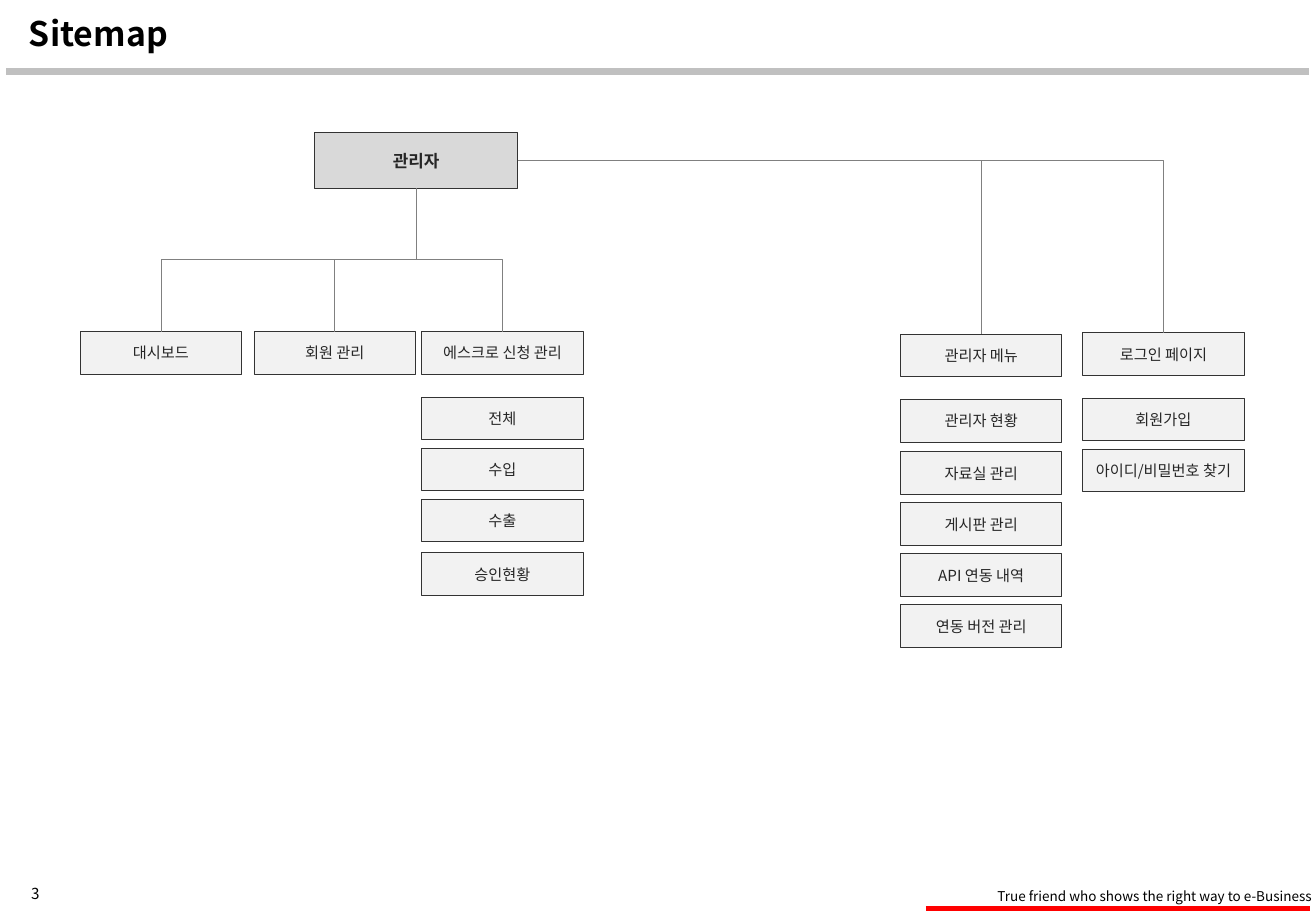
from lxml.etree import SubElement
from pptx import Presentation
from pptx.dml.color import RGBColor
from pptx.enum.shapes import MSO_CONNECTOR, MSO_SHAPE
from pptx.enum.text import MSO_ANCHOR, PP_ALIGN
from pptx.oxml.ns import qn
from pptx.util import Emu, Pt

BOTTOM, RIGHT, TOP = 2, 3, 0


def px(length):
    """Turn px (100 to the inch) into EMU."""
    return Emu(length * 9144)


def color(hex_text):
    return RGBColor.from_string(hex_text)


class SitemapSlide:
    """Holds the style and the current slide; one method per kind of element."""

    font_name = "Noto Sans CJK KR"
    box_width, box_height = 133, 35

    def __init__(self, slide):
        self.slide = slide

    def add_text(self, frame, text, size, ink="000000", bold=False, align=PP_ALIGN.LEFT):
        paragraph = frame.paragraphs[0]
        paragraph.alignment = align
        run = paragraph.add_run()
        run.text = text
        run.font.size = Pt(size)
        run.font.bold = bold
        run.font.color.rgb = color(ink)
        run.font.name = self.font_name
        SubElement(run.font._element, qn("a:ea"), typeface=self.font_name)
        return paragraph

    def label(self, left, top, width, height, text, size,
              wrap=True, anchor=MSO_ANCHOR.MIDDLE, **style):
        frame = self.slide.shapes.add_textbox(
            px(left), px(top), px(width), px(height)).text_frame
        frame.word_wrap = wrap
        frame.vertical_anchor = anchor
        return self.add_text(frame, text, size, **style)

    def box(self, left, top, text, width=box_width, height=box_height,
            fill="F2F2F2", size=9, bold=False):
        shape = self.slide.shapes.add_shape(
            MSO_SHAPE.RECTANGLE, px(left), px(top), px(width), px(height))
        shape.shadow.inherit = False
        shape.fill.solid()
        shape.fill.fore_color.rgb = color(fill)
        shape.line.color.rgb = color("333333")
        shape.line.width = Pt(0.5)
        frame = shape.text_frame
        frame.word_wrap = True
        frame.margin_left = frame.margin_right = 0
        frame.vertical_anchor = MSO_ANCHOR.MIDDLE
        self.add_text(frame, text, size, "262626", bold, PP_ALIGN.CENTER)
        return shape

    def line(self, x1, y1, x2, y2, ink, width, kind=MSO_CONNECTOR.STRAIGHT):
        connector = self.slide.shapes.add_connector(
            kind, px(x1), px(y1), px(x2), px(y2))
        connector.line.color.rgb = color(ink)
        connector.line.width = Pt(width)
        SubElement(connector.element.spPr, qn("a:effectLst"))
        return connector

    def elbow(self, parent, child, side):
        """Join a side of the parent to the top of the child with a bent line."""
        connector = self.line(0, 0, 0, 0, "808080", 0.5, MSO_CONNECTOR.ELBOW)
        connector.begin_connect(parent, side)
        connector.end_connect(child, TOP)
        properties = connector.element.spPr
        if side == RIGHT:
            properties.find(qn("a:prstGeom")).set("prst", "bentConnector2")
            return
        # A line that leaves downwards is a sideways one turned about its centre.
        x1, y1 = connector.begin_x, connector.begin_y
        x2, y2 = connector.end_x, connector.end_y
        run, drop = abs(x2 - x1), y2 - y1
        connector.left = Emu((x1 + x2 - drop) // 2)
        connector.top = Emu((y1 + y2 - run) // 2)
        connector.width, connector.height = Emu(drop), Emu(run)
        to_right = x2 > x1
        transform = properties.find(qn("a:xfrm"))
        transform.set("rot", "16200000" if to_right else "5400000")
        transform.set("flipH", "1" if to_right else "0")


# Each branch: side of the root it leaves, left edge, then (top, text) of its boxes.
BRANCHES = [
    (BOTTOM, 66, [(273, "대시보드")]),
    (BOTTOM, 209, [(273, "회원 관리")]),
    (BOTTOM, 347, [(273, "에스크로 신청 관리"), (327, "전체"), (369, "수입"),
                   (411, "수출"), (455, "승인현황")]),
    (RIGHT, 891, [(274, "로그인 페이지"), (328, "회원가입"),
                  (370, "아이디/비밀번호 찾기")]),
    (RIGHT, 741, [(275, "관리자 메뉴"), (329, "관리자 현황"), (372, "자료실 관리"),
                  (414, "게시판 관리"), (456, "API 연동 내역"),
                  (498, "연동 버전 관리")]),
]


def main():
    presentation = Presentation()
    presentation.slide_width, presentation.slide_height = px(1083), px(750)
    sitemap = SitemapSlide(
        presentation.slides.add_slide(presentation.slide_layouts[6]))

    sitemap.line(5, 59, 1077, 59, "C0C0C0", 4.5)
    sitemap.line(762, 748, 1078, 748, "FF0000", 3)
    sitemap.label(811, 726, 288, 24, "True friend who shows the right way to e-Business",
                  8, wrap=False, anchor=MSO_ANCHOR.TOP)
    sitemap.label(0, 723, 58, 25, "3", 9, align=PP_ALIGN.CENTER)
    title = sitemap.label(14, 6, 1056, 46, "Sitemap", 20, bold=True)
    title.line_spacing = 0.9

    root = sitemap.box(259, 109, "관리자", 167, 46, "D9D9D9", 10, True)
    for side, left, entries in BRANCHES:
        boxes = [sitemap.box(left, top, text) for top, text in entries]
        sitemap.elbow(root, boxes[0], side)

    presentation.save("out.pptx")


if __name__ == "__main__":
    main()
